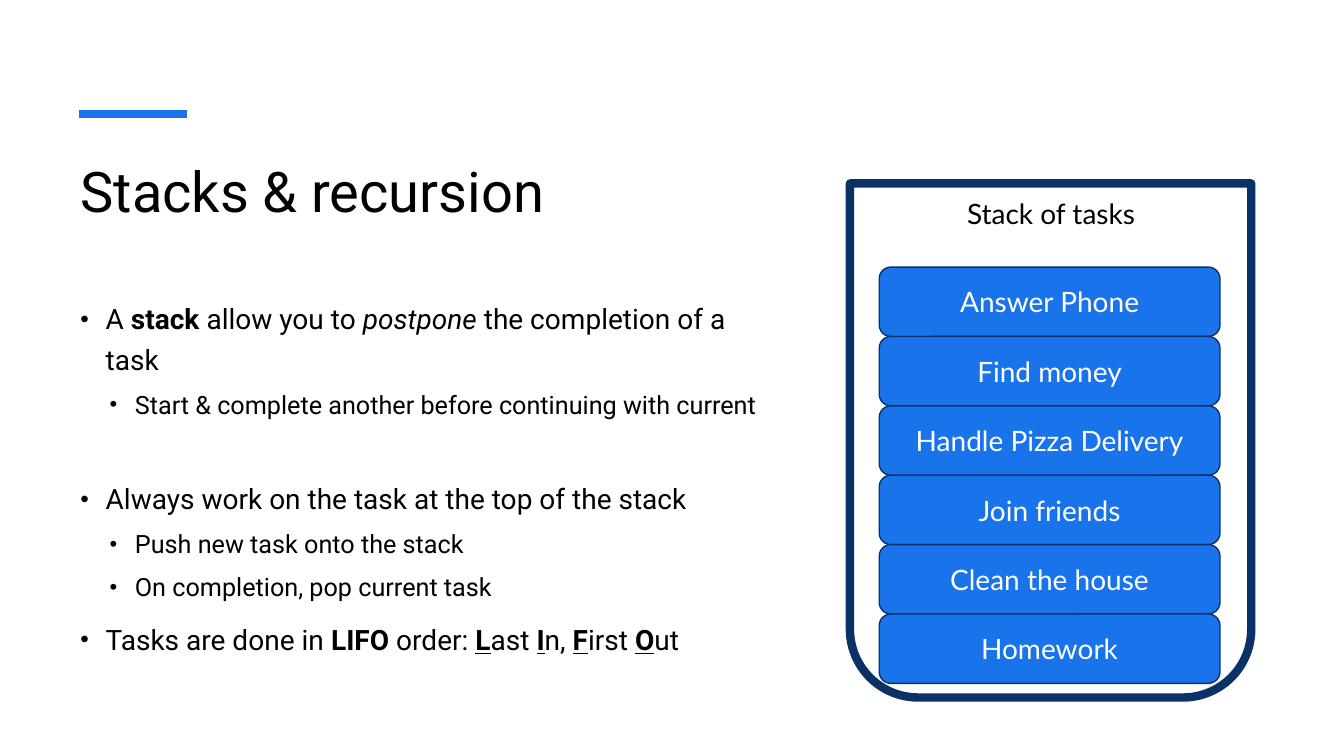
from lxml import etree
from pptx import Presentation
from pptx.dml.color import RGBColor
from pptx.enum.shapes import MSO_CONNECTOR, MSO_SHAPE
from pptx.enum.text import MSO_ANCHOR, PP_ALIGN
from pptx.oxml.ns import qn
from pptx.util import Inches, Pt

STRAIGHT = MSO_CONNECTOR.STRAIGHT
ROUNDED = MSO_SHAPE.ROUNDED_RECTANGLE
ROUND_BOTTOM = MSO_SHAPE.ROUND_2_SAME_RECTANGLE
TOP, MIDDLE = MSO_ANCHOR.TOP, MSO_ANCHOR.MIDDLE
LEFT, CENTER = PP_ALIGN.LEFT, PP_ALIGN.CENTER

COLORS = {"blue": "1973EB", "navy": "0B3267", "black": "000000", "white": "FFFFFF"}

TITLE = "Stacks & recursion"
BOLD = {"bold": True}
ITALIC = {"italic": True}
INITIAL = {"bold": True, "underline": True}
BULLETS = [
    (0, 10, [("A ", {}), ("stack ", BOLD), ("allow you to ", {}),
             ("postpone ", ITALIC), ("the completion of a task", {})]),
    (1, 5, [("Start & complete another before continuing with current", {})]),
    (0, 40, [("Always work on the task at the top of the stack", {})]),
    (1, 5, [("Push new task onto the stack", {})]),
    (1, 5, [("On completion, pop current task", {})]),
    (0, 10, [("Tasks are done in ", {}), ("LIFO", BOLD), (" order: ", {}),
             ("L", INITIAL), ("ast ", {}), ("I", INITIAL), ("n, ", {}),
             ("F", INITIAL), ("irst ", {}), ("O", INITIAL), ("ut", {})]),
]
LEVELS = [{"size": 20, "indent": 0.25}, {"size": 18, "indent": 0.54}]
HANGING = 0.25

STACK_LABEL = "Stack of tasks"
TASKS = ["Answer Phone", "Find money", "Handle Pizza Delivery",
         "Join friends", "Clean the house", "Homework"]
TASK_LEFT, TASK_WIDTH = 8.72, 3.38
STACK_TOP, STACK_BOTTOM = 2.65, 6.78


def rgb(name):
    return RGBColor.from_string(COLORS[name])


def set_line(item, color, width):
    item.line.color.rgb = rgb(color)
    item.line.width = Pt(width)


def add_span(para, text, font, size, color, style):
    span = para.add_run()
    span.text = text
    span.font.color.rgb = rgb(color)
    for name, value in {"name": font, "size": Pt(size), **style}.items():
        setattr(span.font, name, value)


def add_text_box(page, place, anchor=TOP):
    frame = page.shapes.add_textbox(*map(Inches, place)).text_frame
    frame.word_wrap = True
    frame.vertical_anchor = anchor
    return frame


def add_outlined_shape(page, kind, place, width):
    shape = page.shapes.add_shape(kind, *map(Inches, place))
    shape.shadow.inherit = False
    set_line(shape, "navy", width)
    return shape


def set_bullet(para, indent):
    props = para._p.get_or_add_pPr()
    props.set("marL", str(Inches(indent)))
    props.set("indent", str(-Inches(HANGING)))
    for tag, name, value in [("a:buSzPct", "val", "87000"),
                             ("a:buFont", "typeface", "Arial"),
                             ("a:buChar", "char", "•")]:
        etree.SubElement(props, qn(tag)).set(name, value)


def add_heading(page):
    accent = page.shapes.add_connector(
        STRAIGHT, Inches(0.78), Inches(1.13), Inches(1.85), Inches(1.13))
    set_line(accent, "blue", 6)
    etree.SubElement(accent._element.spPr, qn("a:effectLst"))
    frame = add_text_box(page, (0.7, 1.5, 6.81, 1.2))
    add_span(frame.paragraphs[0], TITLE, "Roboto", 40, "black", {})


def add_bullets(page):
    frame = add_text_box(page, (0.7, 2.88, 6.97, 3.9))
    for index, (level, space, spans) in enumerate(BULLETS):
        para = frame.add_paragraph() if index else frame.paragraphs[0]
        layout = {"level": level, "alignment": LEFT, "line_spacing": 1.2,
                  "space_before": Pt(space)}
        for name, value in layout.items():
            setattr(para, name, value)
        set_bullet(para, LEVELS[level]["indent"])
        for text, style in spans:
            add_span(para, text, "Roboto", LEVELS[level]["size"], "black", style)


def add_stack(page):
    container = add_outlined_shape(page, ROUND_BOTTOM, (8.43, 1.82, 3.98, 5.1), 6)
    container.fill.background()
    container.adjustments[0] = 0
    container.adjustments[1] = 0.17

    label = add_text_box(page, (9.26, 1.9, 2.33, 0.44)).paragraphs[0]
    label.alignment = CENTER
    add_span(label, STACK_LABEL, "Lato", 20, "black", {})

    height = (STACK_BOTTOM - STACK_TOP) / len(TASKS)
    for index, task in enumerate(TASKS):
        place = (TASK_LEFT, STACK_TOP + index * height, TASK_WIDTH, height)
        box = add_outlined_shape(page, ROUNDED, place, 1)
        box.fill.solid()
        box.fill.fore_color.rgb = rgb("blue")
        box.text_frame.vertical_anchor = MIDDLE
        para = box.text_frame.paragraphs[0]
        para.alignment = CENTER
        add_span(para, task, "Lato", 20, "white", {})


def main():
    deck = Presentation()
    deck.slide_width, deck.slide_height = Inches(13.33), Inches(7.5)
    page = deck.slides.add_slide(deck.slide_layouts[6])
    add_heading(page)
    add_bullets(page)
    add_stack(page)
    deck.save("out.pptx")


if __name__ == "__main__":
    main()
